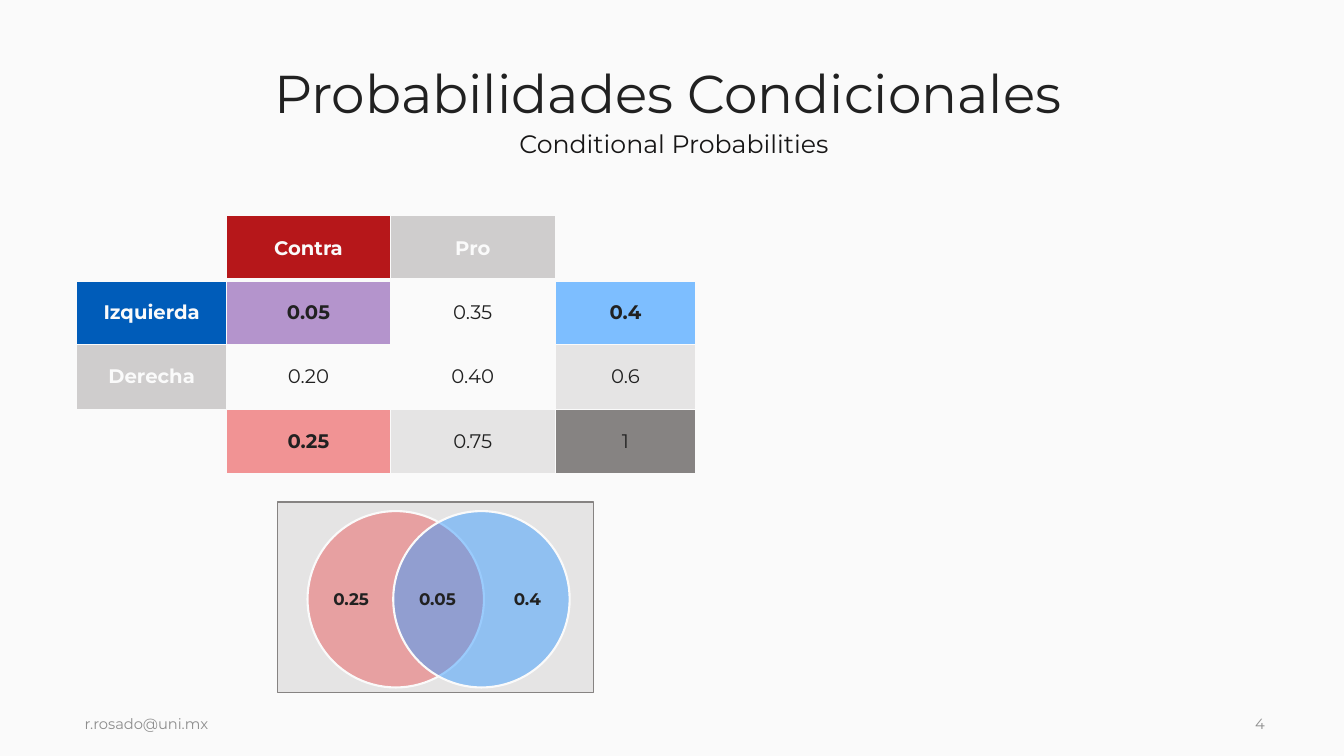
"""Build the conditional probabilities slide with its table and Venn diagram."""
from dataclasses import dataclass
from typing import Optional

from lxml.etree import SubElement
from pptx import Presentation
from pptx.dml.color import RGBColor
from pptx.enum.shapes import MSO_SHAPE as Preset
from pptx.enum.text import MSO_ANCHOR as Anchor, PP_ALIGN as Align
from pptx.oxml.ns import qn
from pptx.util import Inches, Pt

FONT = "Montserrat"
PAPER, INK, SUBTITLE_INK, FOOTER_INK = "FAFAFA", "212121", "171616", "8D8D8D"
RED, BLUE, PURPLE = "B6171A", "005CB9", "7030A0"
LIGHT_RED, LIGHT_BLUE = "F19394", "7DBEFF"
MUTED, PALE, DARK = "CFCDCD", "E5E4E4", "868382"


@dataclass
class Box:
    left: float
    top: float
    width: float
    height: float

    def lengths(self) -> tuple:
        return tuple(Inches(n) for n in (self.left, self.top, self.width, self.height))


@dataclass
class Cell:
    text: str = ""
    fill: Optional[str] = None
    bold: bool = False
    color: str = INK
    opacity: int = 100


@dataclass
class Label:
    text: str
    box: Box
    size: float
    color: str
    align: Align = Align.LEFT
    anchor: Anchor = Anchor.MIDDLE


@dataclass
class Circle:
    text: str
    left: float
    fill: str


def header(text: str, fill: str) -> Cell:
    return Cell(text, fill, True, PAPER)


CELLS = [
    [Cell(), header("Contra", RED), header("Pro", MUTED), Cell()],
    [header("Izquierda", BLUE), Cell("0.05", PURPLE, True, opacity=50),
     Cell("0.35"), Cell("0.4", LIGHT_BLUE, True)],
    [header("Derecha", MUTED), Cell("0.20"), Cell("0.40"), Cell("0.6", PALE)],
    [Cell(), Cell("0.25", LIGHT_RED, True), Cell("0.75", PALE), Cell("1", DARK)],
]
COLUMN_WIDTHS = [1.49, 1.62, 1.64, 1.39]
ROW_HEIGHT = 0.64
LABELS = [
    Label("r.rosado@uni.mx", Box(0.74, 6.86, 7.66, 0.64), 10.5, FOOTER_INK),
    Label("4", Box(12.35, 6.86, 0.39, 0.64), 10.5, FOOTER_INK),
    Label("Conditional Probabilities", Box(0.76, 1.22, 11.85, 0.4), 18,
          SUBTITLE_INK, Align.CENTER, Anchor.TOP),
]
CIRCLES = [Circle("0.25", 3.05, "EA5D5F"), Circle("0.05\t0.4", 3.9, "3C9DFF")]
CIRCLE_TOP, CIRCLE_SIZE, TAB_STOP = 5.07, 1.75, 0.94


def rgb(color: str) -> RGBColor:
    return RGBColor.from_string(color)


def set_fill(fill, color: str) -> None:
    fill.solid()
    fill.fore_color.rgb = rgb(color)


def set_opacity(properties, percent: int) -> None:
    color = properties.find(qn("a:solidFill")).find(qn("a:srgbClr"))
    SubElement(color, qn("a:alpha"), val=str(percent * 1000))


def write(text_frame, text: str, size: float, color: str,
          align: Align = Align.LEFT, bold: bool = False) -> None:
    text_frame.text = text
    paragraph = text_frame.paragraphs[0]
    paragraph.alignment = align
    for run in paragraph.runs:
        run.font.name = FONT
        run.font.size = Pt(size)
        run.font.bold = bold
        run.font.color.rgb = rgb(color)


def add_preset(slide, preset: Preset, box: Box, fill: str, line: str, width: float):
    shape = slide.shapes.add_shape(preset, *box.lengths())
    shape.shadow.inherit = False
    set_fill(shape.fill, fill)
    shape.line.color.rgb = rgb(line)
    shape.line.width = Pt(width)
    return shape


def set_borders(cell, bottom: float) -> None:
    properties = cell._tc.get_or_add_tcPr()
    for side, width in (("L", 1), ("R", 1), ("T", 1), ("B", bottom)):
        line = SubElement(properties, qn(f"a:ln{side}"), w=str(Pt(width)))
        SubElement(SubElement(line, qn("a:solidFill")), qn("a:srgbClr"), val=PAPER)


def add_probability_table(slide) -> None:
    rows = len(CELLS)
    box = Box(0.76, 2.14, sum(COLUMN_WIDTHS), ROW_HEIGHT * rows)
    table = slide.shapes.add_table(rows, len(COLUMN_WIDTHS), *box.lengths()).table
    table.first_row = table.horz_banding = False
    for column, width in zip(table.columns, COLUMN_WIDTHS):
        column.width = Inches(width)
    for r, row in enumerate(CELLS):
        table.rows[r].height = Inches(ROW_HEIGHT)
        for c, content in enumerate(row):
            cell = table.cell(r, c)
            cell.vertical_anchor = Anchor.MIDDLE
            set_borders(cell, 3 if r == 0 else 1)
            if content.fill:
                set_fill(cell.fill, content.fill)
            else:
                cell.fill.background()
            if content.opacity < 100:
                set_opacity(cell._tc.tcPr, content.opacity)
            if content.text:
                write(cell.text_frame, content.text, 14, content.color,
                      Align.CENTER, content.bold)


def add_title(slide) -> None:
    title = slide.shapes.title
    title.left, title.top, title.width, title.height = Box(0.64, 0.51, 11.97, 0.89).lengths()
    title.text_frame.vertical_anchor = Anchor.MIDDLE
    write(title.text_frame, "Probabilidades Condicionales", 38, INK, Align.CENTER)
    title.text_frame.paragraphs[0].line_spacing = 0.9


def add_label(slide, label: Label) -> None:
    text_frame = slide.shapes.add_textbox(*label.box.lengths()).text_frame
    text_frame.word_wrap = True
    text_frame.vertical_anchor = label.anchor
    write(text_frame, label.text, label.size, label.color, label.align)


def add_circle(slide, circle: Circle) -> None:
    box = Box(circle.left, CIRCLE_TOP, CIRCLE_SIZE, CIRCLE_SIZE)
    shape = add_preset(slide, Preset.OVAL, box, circle.fill, PAPER, 1.5)
    set_opacity(shape._element.spPr, 50)
    text_frame = shape.text_frame
    text_frame.margin_left = text_frame.margin_right = 0
    text_frame.vertical_anchor = Anchor.MIDDLE
    write(text_frame, circle.text, 12, INK, bold=True)
    properties = text_frame.paragraphs[0]._p.get_or_add_pPr()
    tabs = SubElement(properties, qn("a:tabLst"))
    SubElement(tabs, qn("a:tab"), pos=str(Inches(TAB_STOP)), algn="l")


def main() -> None:
    presentation = Presentation()
    presentation.slide_width, presentation.slide_height = Inches(13.33), Inches(7.5)
    slide = presentation.slides.add_slide(presentation.slide_layouts[5])
    set_fill(slide.background.fill, PAPER)
    add_title(slide)
    add_preset(slide, Preset.RECTANGLE, Box(2.75, 4.98, 3.14, 1.89), PALE, DARK, 1)
    add_probability_table(slide)
    for label in LABELS:
        add_label(slide, label)
    for circle in CIRCLES:
        add_circle(slide, circle)
    presentation.save("out.pptx")


if __name__ == "__main__":
    main()
